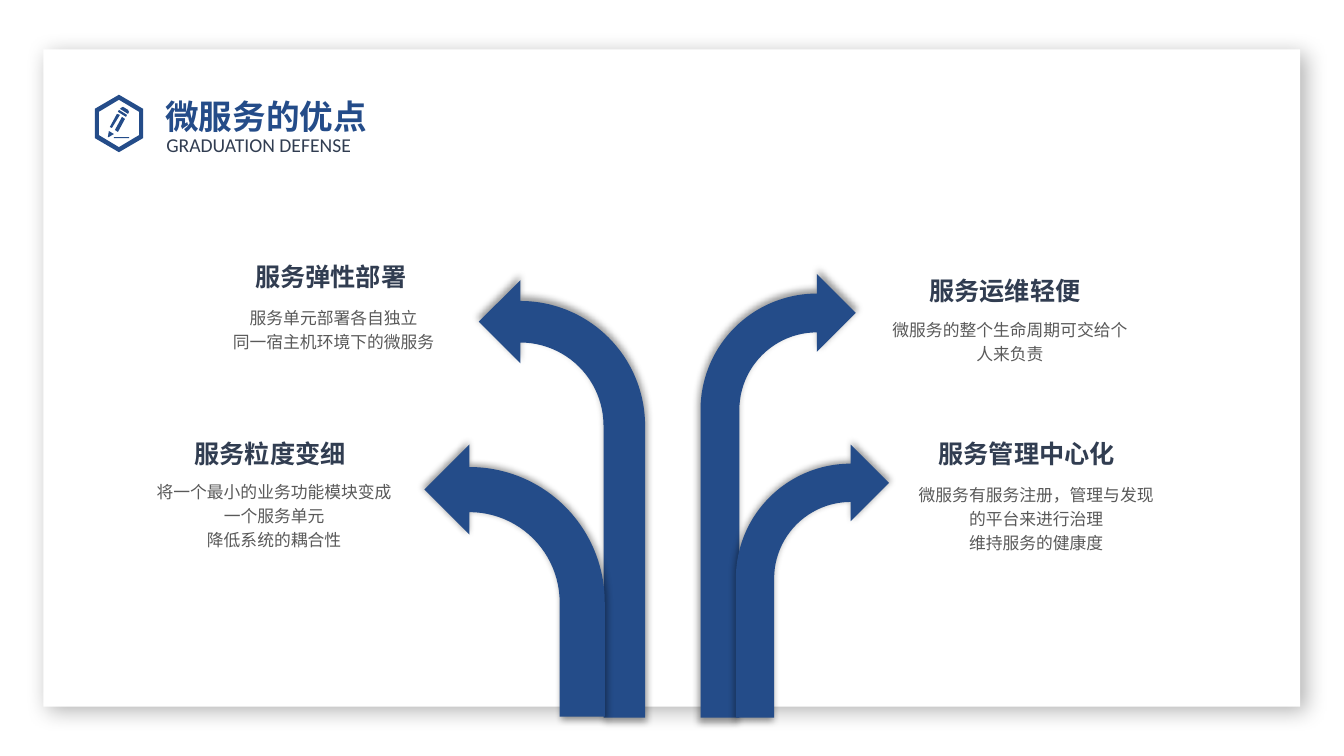
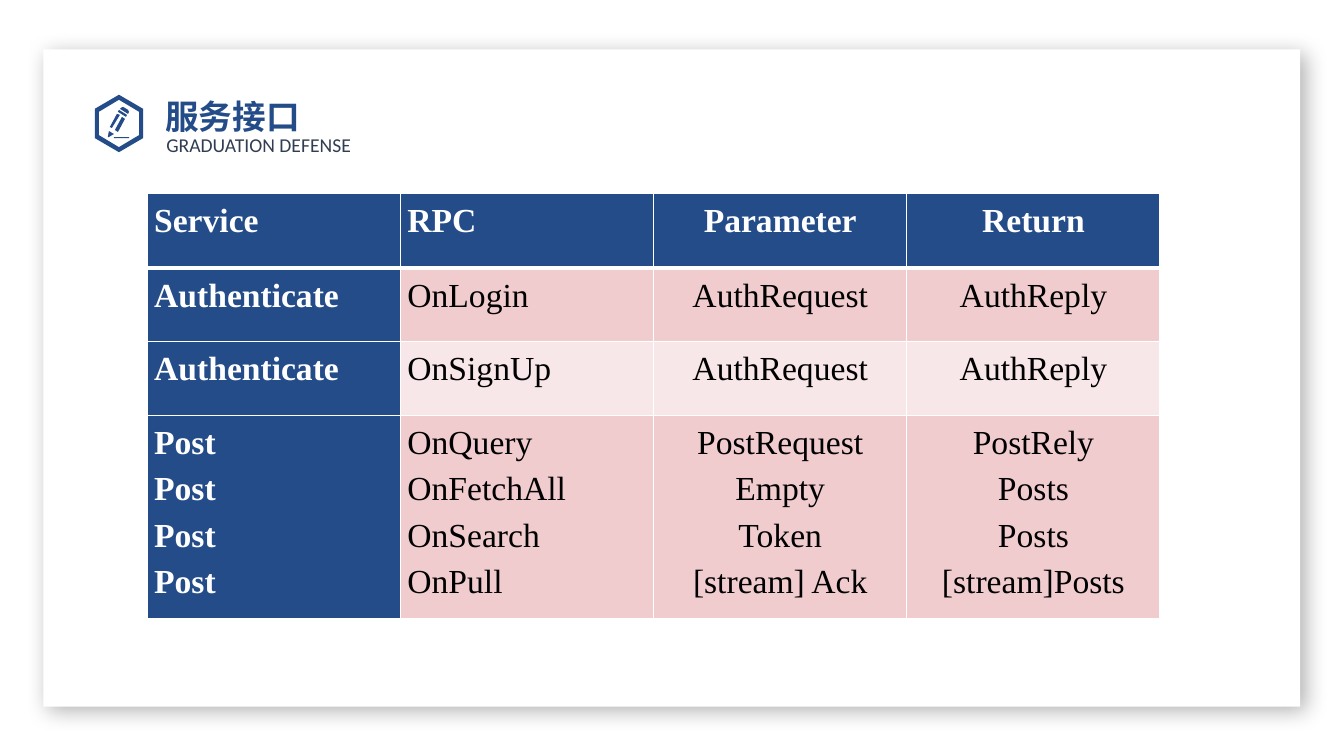
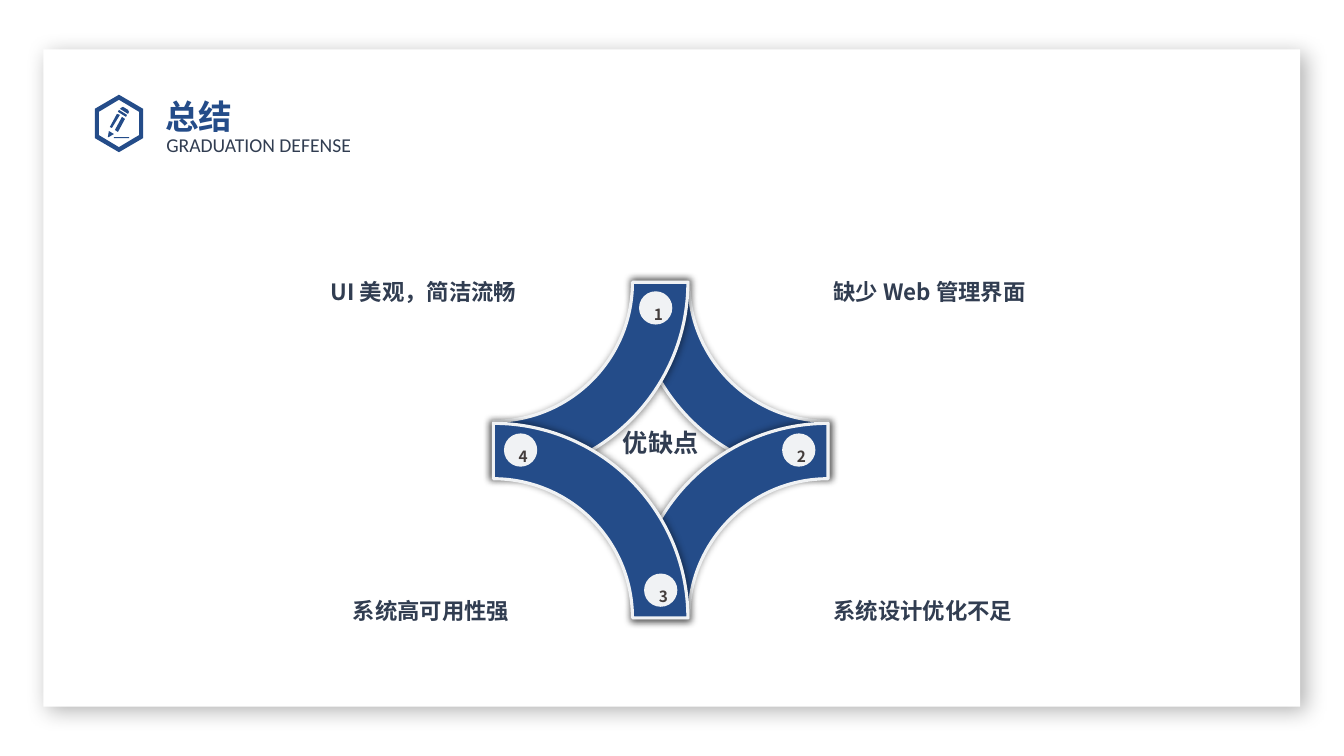
from dataclasses import dataclass

from lxml.etree import SubElement
from pptx import Presentation
from pptx.dml.color import RGBColor
from pptx.enum.shapes import MSO_SHAPE as Preset, PP_PLACEHOLDER as Placeholder
from pptx.enum.text import MSO_ANCHOR as Anchor, MSO_AUTO_SIZE as AutoSize, PP_ALIGN as Align
from pptx.oxml.ns import qn
from pptx.util import Inches, Pt

Point = tuple[float, float]
Box = tuple[float, float, float, float]


@dataclass(frozen=True)
class Style:
    size: float
    color: str
    bold: bool = False
    latin: str = "Noto Sans CJK SC"
    spacing: float | Pt = 1.2


@dataclass(frozen=True)
class Theme:
    blue: str = "244C89"
    white: str = "FFFFFF"
    pale: str = "F0F2F4"
    pink: str = "F1CCCF"
    light_pink: str = "F8E7E9"
    title: Style = Style(24, "244C89", True, "Cabin")
    subtitle: Style = Style(14, "313D51", latin="Calibri", spacing=Pt(23))
    heading: Style = Style(18, "313D51", True)
    body: Style = Style(12, "595959")
    point: Style = Style(16, "313D51", True)
    number: Style = Style(11, "433D3C", True)
    table_head: Style = Style(24, "FFFFFF", True, "Times New Roman", 1.25)
    table_body: Style = Style(24, "000000", False, "Times New Roman", 1.25)


@dataclass(frozen=True)
class Shadow:
    alpha: int
    blur: float
    distance: float = 0
    angle: int = 0
    scale: int = 100


@dataclass(frozen=True)
class BentArrow:
    box: Box
    flipped: bool = False


@dataclass(frozen=True)
class Advantage:
    heading: str
    heading_box: Box
    body: str
    body_box: Box


@dataclass(frozen=True)
class Remark:
    text: str
    box: Box
    align: Align


THEME = Theme()
CARD_SHADOW = Shadow(30, 15, 5, 45)
SOFT_SHADOW = Shadow(40, 5, scale=102)

# Badge outline: hexagon ring, then the pencil and its line
BADGE: list[list[Point]] = [
    [(1.18, 0.94), (1.42, 1.08), (1.42, 1.37), (1.18, 1.51), (0.94, 1.37), (0.94, 1.08)],
    [(1.18, 0.99), (1.38, 1.11), (1.38, 1.34), (1.18, 1.46), (0.98, 1.34), (0.98, 1.11)],
    [(1.13, 1.36), (1.28, 1.36), (1.28, 1.37), (1.13, 1.37)],
    [(1.14, 1.29), (1.21, 1.16), (1.24, 1.18), (1.17, 1.31)],
    [(1.09, 1.26), (1.16, 1.13), (1.19, 1.14), (1.11, 1.27)],
    [(1.07, 1.36), (1.08, 1.3), (1.13, 1.33), (1.08, 1.36)],
    [(1.18, 1.09), (1.17, 1.11), (1.25, 1.16), (1.26, 1.14)],
    [(1.2, 1.07), (1.22, 1.06), (1.27, 1.09), (1.28, 1.11), (1.27, 1.13), (1.19, 1.08)],
]

ARROWS = [
    BentArrow((6.95, 2.72, 1.54, 4.4)),
    BentArrow((4.75, 2.78, 1.65, 4.34), flipped=True),
    BentArrow((7.3, 4.41, 1.52, 2.71)),
    BentArrow((4.21, 4.41, 1.79, 2.7), flipped=True),
]

ADVANTAGES = [
    Advantage("服务粒度变细", (1.82, 4.24, 1.72, 0.43),
              "将一个最小的业务功能模块变成一个服务单元\n降低系统的耦合性", (1.38, 4.69, 2.68, 0.81)),
    Advantage("服务弹性部署", (2.42, 2.48, 1.72, 0.43),
              "服务单元部署各自独立\n同一宿主机环境下的微服务", (1.97, 2.96, 2.68, 0.57)),
    Advantage("服务运维轻便", (9.11, 2.62, 1.72, 0.43),
              "微服务的整个生命周期可交给个人来负责", (8.68, 3.08, 2.68, 0.59)),
    Advantage("服务管理中心化", (9.2, 4.24, 1.97, 0.43),
              "微服务有服务注册，管理与发现的平台来进行治理\n维持服务的健康度", (8.94, 4.72, 2.68, 0.81)),
]

INTERFACES = [
    ["Service", "RPC", "Parameter", "Return"],
    ["Authenticate", "OnLogin", "AuthRequest", "AuthReply"],
    ["Authenticate", "OnSignUp", "AuthRequest", "AuthReply"],
    ["Post\nPost\nPost\nPost", "OnQuery\nOnFetchAll\nOnSearch\nOnPull",
     "PostRequest\nEmpty\nToken\n[stream] Ack", "PostRely\nPosts\nPosts\n[stream]Posts"],
]
ROW_HEIGHTS = [0.74, 0.73, 0.73, 2.02]

REMARKS = [
    Remark("系统设计优化不足", (8.17, 5.82, 2.09, 0.4), Align.LEFT),
    Remark("UI 美观，简洁流畅", (3.04, 2.66, 2.18, 0.4), Align.RIGHT),
    Remark("缺少 Web 管理界面", (8.17, 2.66, 2.18, 0.4), Align.LEFT),
    Remark("系统高可用性强", (2.35, 5.82, 2.8, 0.4), Align.RIGHT),
]
NUMBER_CORNERS: list[Point] = [(6.34, 2.89), (7.76, 4.3), (6.39, 5.69), (5, 4.3)]


def rgb(color: str) -> RGBColor:
    return RGBColor.from_string(color)


def lengths(box: Box) -> list[Inches]:
    return [Inches(value) for value in box]


def write(text_frame, text: str, style: Style, align: Align = Align.LEFT) -> None:
    text_frame.text = text
    for paragraph in text_frame.paragraphs:
        paragraph.alignment = align
        paragraph.line_spacing = style.spacing
        for run in paragraph.runs:
            run.font.size = Pt(style.size)
            run.font.bold = style.bold
            run.font.color.rgb = rgb(style.color)
            run.font.name = style.latin
            properties = run.font._element
            SubElement(properties, qn("a:ea"), typeface="Noto Sans CJK SC")


def add_text(slide, box: Box, text: str, style: Style, align: Align = Align.LEFT,
             wrap: bool = True):
    shape = slide.shapes.add_textbox(*lengths(box))
    shape.text_frame.word_wrap = wrap
    shape.text_frame.auto_size = AutoSize.SHAPE_TO_FIT_TEXT
    write(shape.text_frame, text, style, align)
    return shape


def paint(shape, color: str, shadow: Shadow | None = None, outline: str | None = None) -> None:
    shape.fill.solid()
    shape.fill.fore_color.rgb = rgb(color)
    if outline:
        shape.line.color.rgb = rgb(outline)
        shape.line.width = Pt(2.25)
    else:
        shape.line.fill.background()
    shape.shadow.inherit = False
    if shadow:
        effects = shape.element.spPr.find(qn("a:effectLst"))
        scale = str(shadow.scale * 1000)
        outer = SubElement(effects, qn("a:outerShdw"), blurRad=str(Pt(shadow.blur)),
                           dist=str(Pt(shadow.distance)), dir=str(shadow.angle * 60000),
                           sx=scale, sy=scale, algn="ctr", rotWithShape="0")
        color_element = SubElement(outer, qn("a:srgbClr"), val="000000")
        SubElement(color_element, qn("a:alpha"), val=str(shadow.alpha * 1000))


def add_preset(slide, preset: Preset, box: Box, color: str, shadow: Shadow | None = None):
    shape = slide.shapes.add_shape(preset, *lengths(box))
    paint(shape, color, shadow)
    return shape


def add_outline(slide, contours: list[list[Point]]):
    """Draw closed contours, given in inches, as one freeform."""
    units = [[(x * 1000, y * 1000) for x, y in contour] for contour in contours]
    builder = slide.shapes.build_freeform(*units[0][0], scale=Inches(1) / 1000)
    for index, contour in enumerate(units):
        if index:
            builder.move_to(*contour[0])
        builder.add_line_segments(contour[1:], close=True)
    return builder.convert_to_shape()


# Shared frame, held by the title-only layout
def build_frame(slide, layout) -> None:
    for placeholder in list(layout.placeholders):
        if placeholder.placeholder_format.type != Placeholder.TITLE:
            placeholder.element.getparent().remove(placeholder.element)
    card = add_preset(slide, Preset.RECTANGLE, (0.43, 0.49, 12.47, 6.52), THEME.white, CARD_SHADOW)
    badge = add_outline(slide, BADGE)
    paint(badge, THEME.blue)
    subtitle = add_text(slide, (1.65, 1.23, 2.17, 0.34), "GRADUATION DEFENSE", THEME.subtitle)
    frame = subtitle.text_frame
    frame.margin_left = frame.margin_top = frame.margin_right = 0
    for shape in (card, badge, subtitle):
        layout.shapes.element.append(shape.element)


def add_titled_slide(presentation, layout, text: str):
    slide = presentation.slides.add_slide(layout)
    title = slide.shapes.title
    title.left, title.top, title.width, title.height = lengths((1.54, 0.82, 3.97, 0.5))
    write(title.text_frame, text, THEME.title)
    title.text_frame.vertical_anchor = Anchor.TOP
    title.text_frame.auto_size = AutoSize.NONE
    return slide


# Slide 1: four bent arrows with their labels
def fill_advantages(slide) -> None:
    for arrow in ARROWS:
        shape = add_preset(slide, Preset.BENT_ARROW, arrow.box, THEME.blue, SOFT_SHADOW)
        for index, value in enumerate((0.25, 0.25, 0.25, 0.75)):
            shape.adjustments[index] = value
        if arrow.flipped:
            shape.element.spPr.find(qn("a:xfrm")).set("flipH", "1")
    for item in ADVANTAGES:
        add_text(slide, item.heading_box, item.heading, THEME.heading, Align.CENTER, wrap=False)
        add_text(slide, item.body_box, item.body, THEME.body, Align.CENTER)


# Slide 2: interface table
def add_borders(cell, widths: dict[str, float]) -> None:
    properties = cell._tc.get_or_add_tcPr()
    for side, width in widths.items():
        line = SubElement(properties, qn(f"a:ln{side}"), w=str(Pt(width)))
        fill = SubElement(line, qn("a:solidFill"))
        SubElement(fill, qn("a:srgbClr"), val=THEME.white)


def fill_interfaces(slide) -> None:
    box = (1.46, 1.92, 10.05, sum(ROW_HEIGHTS))
    table = slide.shapes.add_table(len(INTERFACES), len(INTERFACES[0]), *lengths(box)).table
    for row, height in zip(table.rows, ROW_HEIGHTS):
        row.height = Inches(height)
    for row_index, texts in enumerate(INTERFACES):
        for column_index, text in enumerate(texts):
            cell = table.cell(row_index, column_index)
            is_head = row_index == 0 or column_index == 0
            band = THEME.pink if row_index % 2 else THEME.light_pink
            add_borders(cell, {"L": 1, "R": 1, "T": 3 if row_index == 1 else 1,
                               "B": 3 if row_index == 0 else 1})
            cell.fill.solid()
            cell.fill.fore_color.rgb = rgb(THEME.blue if is_head else band)
            cell.margin_left = cell.margin_right = Inches(0.07)
            cell.margin_top = cell.margin_bottom = 0
            write(cell.text_frame, text, THEME.table_head if is_head else THEME.table_body,
                  Align.LEFT if column_index < 2 else Align.CENTER)


# Slide 3: ring of four curved bands with numbers and remarks
def bend_side(side, start: Point, corner: Point) -> None:
    """Turn a straight side into a quarter circle that leans towards the corner."""
    end = side[0]
    end_point = (int(end.get("x")), int(end.get("y")))
    for index, point in enumerate((start, end_point)):
        x, y = (round(a + 0.5523 * (b - a)) for a, b in zip(point, corner))
        control = SubElement(side, qn("a:pt"), x=str(x), y=str(y))
        side.insert(index, control)
    side.tag = qn("a:cubicBezTo")


def add_quarter_band(slide, side_x: int, side_y: int):
    center_x, center_y = 6.555 + side_x * 1.66, 4.465 + side_y * 1.665
    outer_x, outer_y = center_x - side_x * 1.93, center_y - side_y * 1.93
    inner_x, inner_y = center_x - side_x * 1.38, center_y - side_y * 1.38
    band = add_outline(slide, [[(outer_x, center_y), (center_x, outer_y),
                                (center_x, inner_y), (inner_x, center_y)]])
    sides = list(next(band.element.iter(qn("a:path"))))
    points = [(int(side[0].get("x")), int(side[0].get("y"))) for side in sides[:4]]
    bend_side(sides[1], points[0], (points[0][0], points[1][1]))
    bend_side(sides[3], points[2], (points[3][0], points[2][1]))
    return band


def fill_summary(slide) -> None:
    for remark in REMARKS:
        add_text(slide, remark.box, remark.text, THEME.point, remark.align)
    for side_y in (-1, 1):
        for side_x in (1, -1):
            paint(add_quarter_band(slide, side_x, side_y), THEME.blue, SOFT_SHADOW, THEME.pale)
    add_text(slide, (6.01, 4.13, 1.09, 0.43), "优缺点", THEME.heading, Align.CENTER)
    for number, (left, top) in enumerate(NUMBER_CORNERS, start=1):
        disc = add_preset(slide, Preset.OVAL, (left, top, 0.33, 0.33), THEME.pale)
        disc.text_frame.vertical_anchor = Anchor.TOP
        write(disc.text_frame, str(number), THEME.number, Align.CENTER)


def main() -> None:
    presentation = Presentation()
    presentation.slide_width, presentation.slide_height = Inches(40 / 3), Inches(7.5)
    layout = presentation.slide_layouts.get_by_name("Title Only")
    pages = [("微服务的优点", fill_advantages), ("服务接口", fill_interfaces), ("总结", fill_summary)]
    for index, (title, fill_slide) in enumerate(pages):
        slide = add_titled_slide(presentation, layout, title)
        if index == 0:
            build_frame(slide, layout)
        fill_slide(slide)
    presentation.save("out.pptx")


if __name__ == "__main__":
    main()
